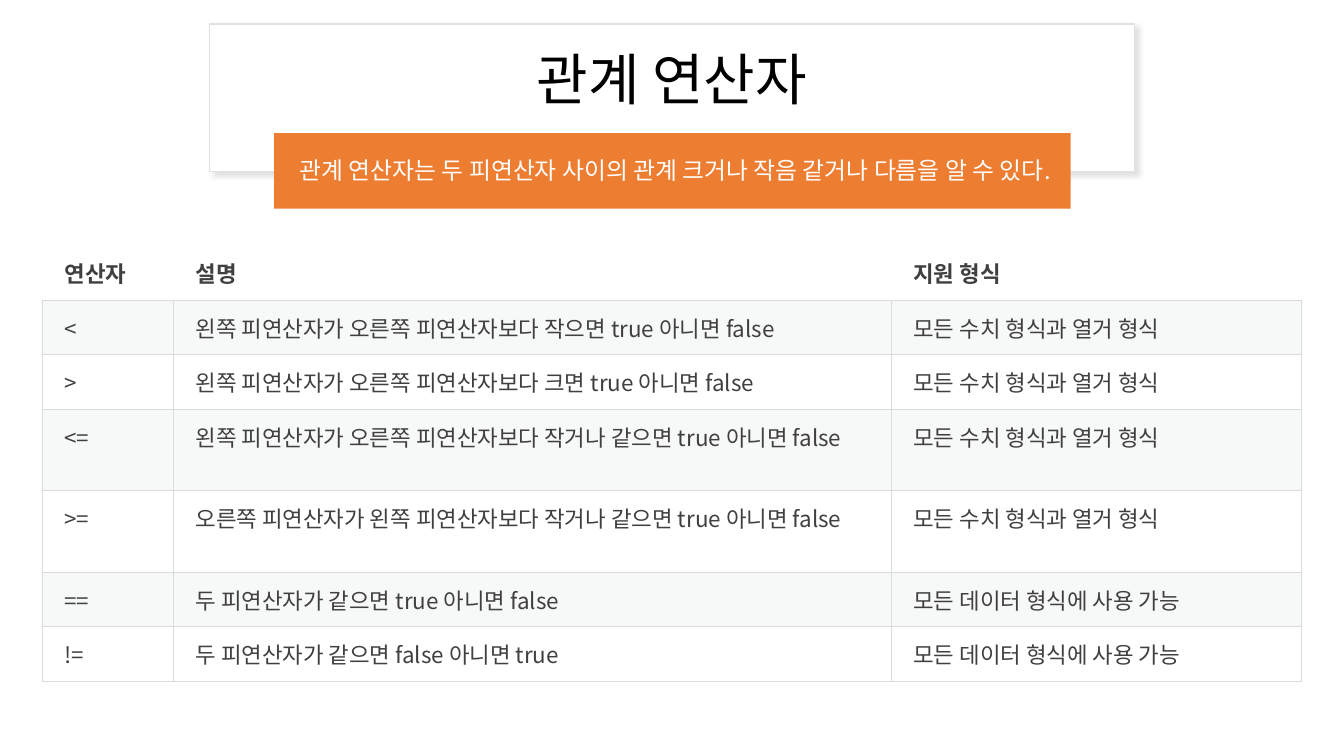
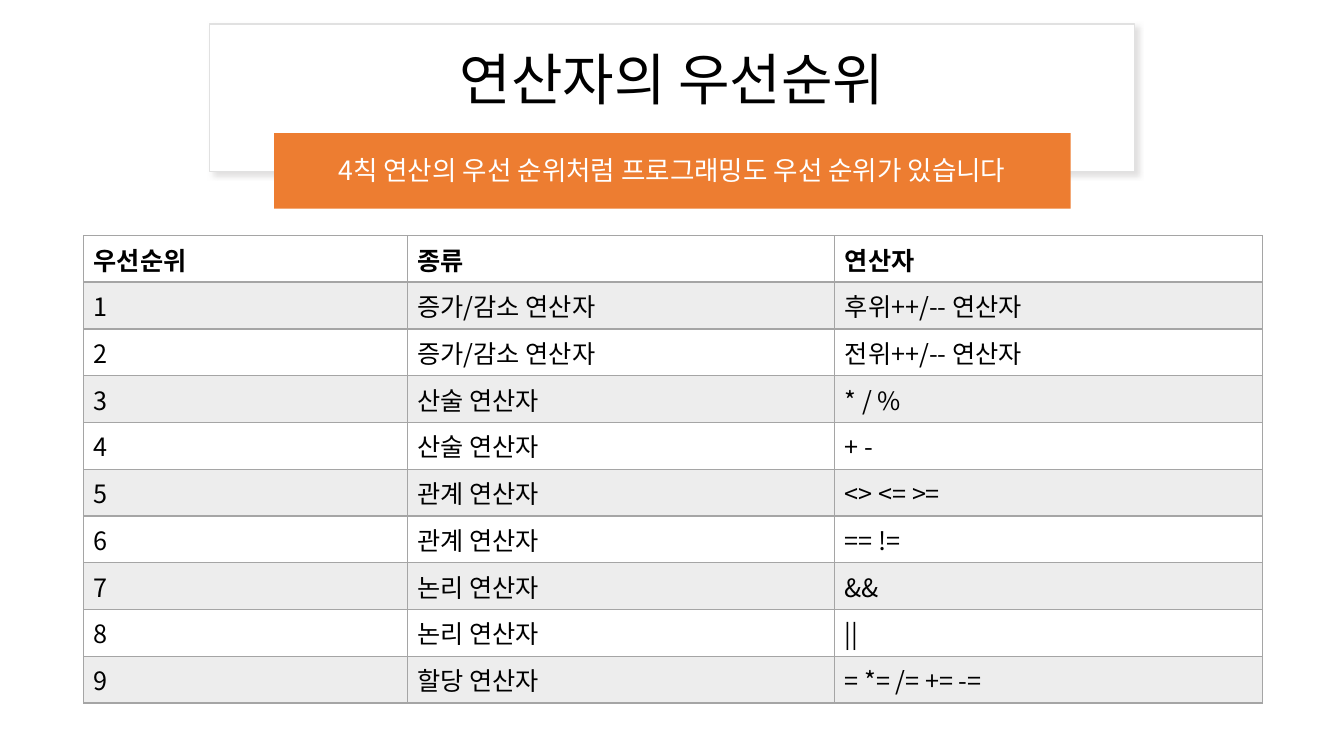
from dataclasses import dataclass

from lxml import etree
from pptx import Presentation
from pptx.dml.color import RGBColor
from pptx.enum.shapes import MSO_SHAPE
from pptx.enum.text import MSO_ANCHOR, PP_ALIGN
from pptx.oxml.ns import qn
from pptx.util import Inches, Pt

RECT = MSO_SHAPE.RECTANGLE
ROUND = MSO_SHAPE.ROUNDED_RECTANGLE
MIDDLE = MSO_ANCHOR.MIDDLE
TOP = MSO_ANCHOR.TOP
CENTER = PP_ALIGN.CENTER

WHITE = RGBColor(0xFF, 0xFF, 0xFF)
BLACK = RGBColor(0x00, 0x00, 0x00)
ORANGE = RGBColor(0xED, 0x7D, 0x31)
EDGE = RGBColor(0xE1, 0xE1, 0xE1)
SHADE = RGBColor(0xC5, 0xC3, 0xC3)
INK = RGBColor(0x40, 0x40, 0x40)
RULE = RGBColor(0xD8, 0xDC, 0xDC)
MIST = RGBColor(0xD8, 0xDE, 0xDC)
GRAY = RGBColor(0xA5, 0xA5, 0xA5)

FONT = "Noto Sans CJK KR"
BAND_ALPHA = 20

TRUE_FALSE = "true 아니면 false"
NUMERIC = "모든 수치 형식과 열거 형식"
ANY_DATA = "모든 데이터 형식에 사용 가능"
RELATIONS = [
    ("연산자", "설명", "지원 형식"),
    ("<", f"왼쪽 피연산자가 오른쪽 피연산자보다 작으면 {TRUE_FALSE}", NUMERIC),
    (">", f"왼쪽 피연산자가 오른쪽 피연산자보다 크면 {TRUE_FALSE}", NUMERIC),
    ("<=", f"왼쪽 피연산자가 오른쪽 피연산자보다 작거나 같으면 {TRUE_FALSE}", NUMERIC),
    (">=", f"오른쪽 피연산자가 왼쪽 피연산자보다 작거나 같으면 {TRUE_FALSE}", NUMERIC),
    ("==", f"두 피연산자가 같으면 {TRUE_FALSE}", ANY_DATA),
    ("!=", "두 피연산자가 같으면 false 아니면 true", ANY_DATA),
]

LEVELS = [
    ("증가/감소 연산자", "후위++/-- 연산자"),
    ("증가/감소 연산자", "전위++/-- 연산자"),
    ("산술 연산자", "* / %"),
    ("산술 연산자", "+ -"),
    ("관계 연산자", "<> <= >="),
    ("관계 연산자", "== !="),
    ("논리 연산자", "&&"),
    ("논리 연산자", "||"),
    ("할당 연산자", "= *= /= += -="),
]
RANKS = [("우선순위", "종류", "연산자")]
RANKS += [(str(rank), *level) for rank, level in enumerate(LEVELS, 1)]


@dataclass
class Style:
    size: int
    ink: RGBColor
    band: RGBColor
    rule: RGBColor
    line: float
    head: tuple
    inset: tuple


SOFT = Style(16, INK, MIST, RULE, 0.75, (0, 0, 0, 0.75), (0.22, 0.11, 0.12, 0.11))
GRID = Style(18, BLACK, GRAY, GRAY, 1, (1, 1, 1, 2), (0.1, 0.05, 0.1, 0.05))


def add_color(parent, color, alpha):
    node = etree.SubElement(parent, qn("a:srgbClr"), val=str(color))
    etree.SubElement(node, qn("a:alpha"), val=str(alpha * 1000))


def set_font(para, size, color, bold=False):
    for run in para.runs:
        font = run.font
        font.name, font.size, font.bold = FONT, Pt(size), bold
        font.color.rgb = color
        etree.SubElement(run._r.get_or_add_rPr(), qn("a:ea"), typeface=FONT)


def add_box(slide, kind, box, fill):
    shape = slide.shapes.add_shape(kind, *map(Inches, box))
    shape.shadow.inherit = False
    shape.fill.solid()
    shape.fill.fore_color.rgb = fill
    shape.line.fill.background()
    return shape


def add_text(slide, box, text, size, color, before=0):
    frame = slide.shapes.add_textbox(*map(Inches, box)).text_frame
    frame.word_wrap = True
    frame.vertical_anchor = MIDDLE
    frame.text = text
    para = frame.paragraphs[0]
    para.alignment = CENTER
    para.line_spacing = 0.9
    para.space_before = Pt(before)
    set_font(para, size, color)


def add_shadow(shape):
    effects = shape._element.spPr.find(qn("a:effectLst"))
    shadow = etree.SubElement(
        effects, qn("a:outerShdw"), blurRad=str(Pt(4)), dist=str(Pt(3)),
        dir=str(45 * 60000), algn="tl", rotWithShape="0")
    add_color(shadow, SHADE, 50)


def add_header(slide, box, title, lead, size):
    left, top, width, height = box
    card = add_box(slide, RECT, box, WHITE)
    card.line.color.rgb = EDGE
    card.line.width = Pt(1)
    add_shadow(card)
    add_text(slide, (left + 0.22, top + 0.1, width - 0.44, 0.95), title, 40, BLACK)
    band = (left + 0.64, top + height - 0.38, width - 1.27, 0.75)
    add_box(slide, ROUND, band, ORANGE).adjustments[0] = 0
    inner = (band[0] + 0.14, band[1] + 0.06, band[2] - 0.29, 0.65)
    add_text(slide, inner, lead, size, WHITE, 10)


def set_borders(cell, widths, color):
    props = cell._tc.get_or_add_tcPr()
    for spot, (side, width) in enumerate(zip("LRTB", widths)):
        line = etree.Element(qn(f"a:ln{side}"), w=str(Pt(width)))
        if width:
            fill = etree.SubElement(line, qn("a:solidFill"))
            add_color(fill, color, 100)
        else:
            etree.SubElement(line, qn("a:noFill"))
        props.insert(spot, line)


def set_fill(cell, color):
    if color is None:
        cell.fill.background()
        return
    cell.fill.solid()
    cell.fill.fore_color.rgb = color
    node = cell._tc.tcPr.find(qn("a:solidFill"))[0]
    etree.SubElement(node, qn("a:alpha"), val=str(BAND_ALPHA * 1000))


def set_cell(cell, text, row, style):
    insets = map(Inches, style.inset)
    cell.margin_left, cell.margin_top, cell.margin_right, cell.margin_bottom = insets
    cell.vertical_anchor = TOP
    cell.text_frame.text = text
    set_font(cell.text_frame.paragraphs[0], style.size, style.ink, row == 0)
    set_fill(cell, style.band if row % 2 else None)
    line = style.line
    upper = style.head[3] if row == 1 else line
    set_borders(cell, (line, line, upper, line) if row else style.head, style.rule)


def add_grid(slide, spot, cols, rows, data, style):
    box = (*spot, sum(cols), sum(rows))
    table = slide.shapes.add_table(len(rows), len(cols), *map(Inches, box)).table
    table.first_row = table.horz_banding = False
    for col, width in zip(table.columns, cols):
        col.width = Inches(width)
    for row, height in zip(table.rows, rows):
        row.height = Inches(height)
    for row, texts in enumerate(data):
        for col, text in enumerate(texts):
            set_cell(table.cell(row, col), text, row, style)


def main():
    deck = Presentation()
    deck.slide_width, deck.slide_height = Inches(13.33), Inches(7.5)
    pages = [
        ("관계 연산자",
         "관계 연산자는 두 피연산자 사이의 관계 크거나 작음 같거나 다름을 알 수 있다.", 17,
         (0.42, 2.44), (1.3, 7.12, 4.07),
         [0.54] * 3 + [0.81] * 2 + [0.54] * 2, RELATIONS, SOFT),
        ("연산자의 우선순위",
         "4칙 연산의 우선 순위처럼 프로그래밍도 우선 순위가 있습니다", 19,
         (0.83, 2.34), (3.21, 4.24, 4.24), [0.46] + [0.464] * 9, RANKS, GRID),
    ]
    for title, lead, size, *grid in pages:
        slide = deck.slides.add_slide(deck.slide_layouts[6])
        add_header(slide, (2.08, 0.24, 9.17, 1.46), title, lead, size)
        add_grid(slide, *grid)
    deck.save("out.pptx")


if __name__ == "__main__":
    main()
